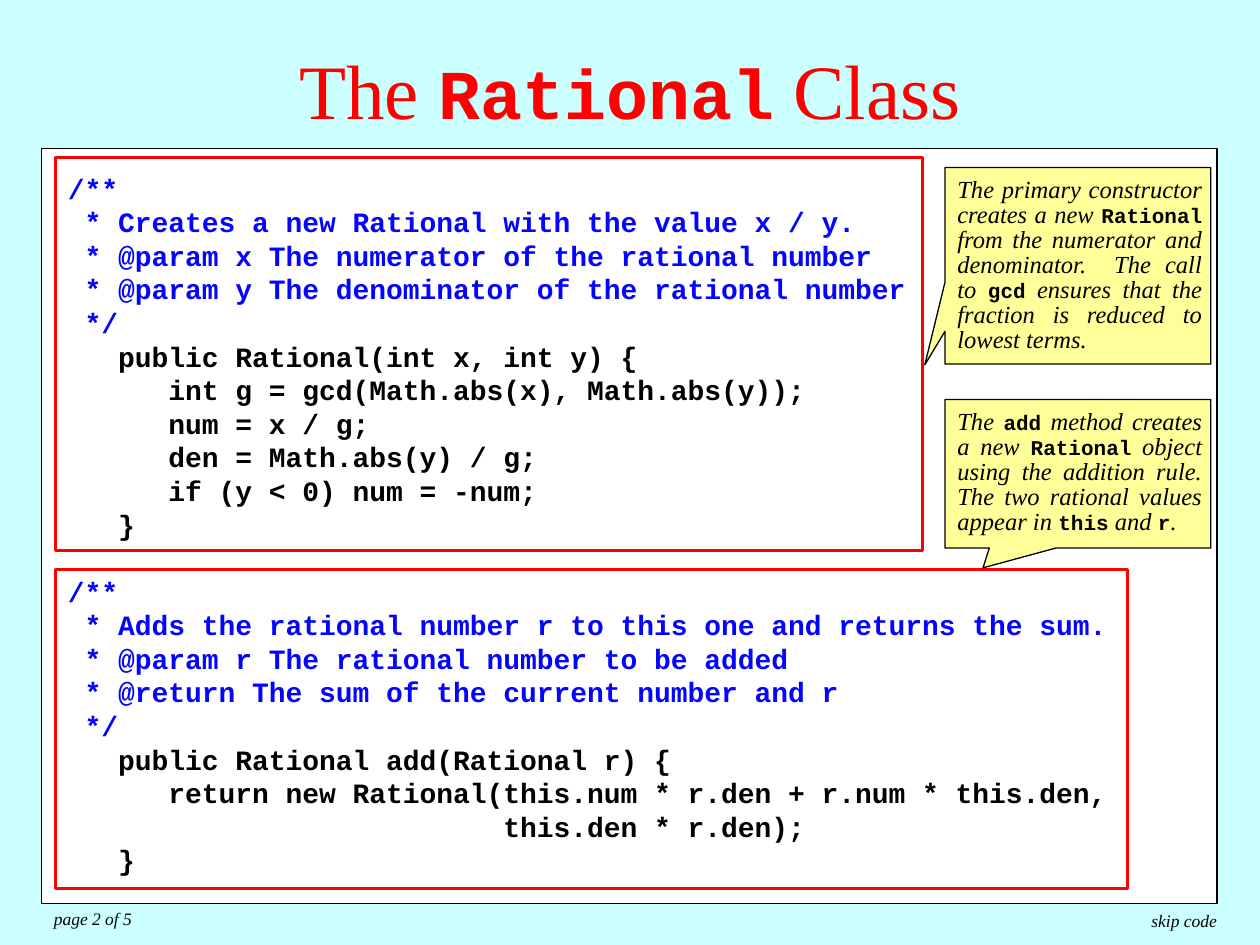
from pptx import Presentation
from pptx import util as u
from pptx.dml.color import RGBColor
from pptx.enum import shapes, text

HUES = {"page": "CCFFFF", "panel": "FFFFFF", "note": "FFFF99",
        "doc": "0404FF", "red": "FF0000", "black": "000000"}
SERIF, MONO = "Times New Roman", "Courier New"
KIND, ALIGN = shapes.MSO_SHAPE, text.PP_ALIGN
hue = {name: RGBColor.from_string(code) for name, code in HUES.items()}

deck = Presentation()
deck.slide_width, deck.slide_height = u.Inches(10), u.Inches(7.5)
slide = deck.slides.add_slide(deck.slide_layouts[6])
slide.background.fill.solid()
slide.background.fill.fore_color.rgb = hue["page"]


def add_box(kind, spot, fill, line, width):
    """Draw a preset shape; a fill of None leaves it hollow."""
    box = slide.shapes.add_shape(kind, *map(u.Inches, spot))
    box.shadow.inherit = False
    if fill:
        box.fill.solid()
        box.fill.fore_color.rgb = hue[fill]
    else:
        box.fill.background()
    box.line.color.rgb = hue[line]
    box.line.width = u.Pt(width)
    return box


def add_text(spot, paras, align=ALIGN.LEFT, wrap=True):
    """Add a text box; each run is (words, font, size, colour, bold, italic)."""
    frame = slide.shapes.add_textbox(*map(u.Inches, spot)).text_frame
    frame.word_wrap = wrap
    for i, runs in enumerate(paras):
        para = frame.paragraphs[0] if i == 0 else frame.add_paragraph()
        para.alignment = align
        for words, face, size, tint, bold, slant in runs:
            run = para.add_run()
            run.text = words
            font = run.font
            font.name, font.size = face, u.Pt(size)
            font.color.rgb = hue[tint]
            font.bold, font.italic = bold, slant
    return frame


add_box(KIND.RECTANGLE, (0.33, 1.18, 9.33, 5.99), "panel", "black", 0.75)

# Code listing: two methods, each a doc comment followed by its body
code = [
    ("""/**
 * Creates a new Rational with the value x / y.
 * @param x The numerator of the rational number
 * @param y The denominator of the rational number
 */""",
     """   public Rational(int x, int y) {
      int g = gcd(Math.abs(x), Math.abs(y));
      num = x / g;
      den = Math.abs(y) / g;
      if (y < 0) num = -num;
   }"""),
    ("""/**
 * Adds the rational number r to this one and returns the sum.
 * @param r The rational number to be added
 * @return The sum of the current number and r
 */""",
     """   public Rational add(Rational r) {
      return new Rational(this.num * r.den + r.num * this.den,
                          this.den * r.den);
   }"""),
]
lines, starts = [], []
for doc, body in code:
    starts.append(len(lines))
    for part, tint in ((doc, "doc"), (body, "black")):
        lines += [[(row, MONO, 16, tint, True, False)]
                  for row in part.split("\n")]
pitch = u.Pt(19.2)
frame = add_text((0.44, 1.31, 9.13, 5.7), lines)
for para in frame.paragraphs:
    para.line_spacing = pitch
for start in starts[1:]:
    frame.paragraphs[start].space_before = pitch

# Title
frame = add_text((0, 0.08, 10, 1.25), [[
    ("The ", SERIF, 44, "red", False, False),
    ("Rational", MONO, 40, "red", True, False),
    (" Class", SERIF, 44, "red", False, False)]], ALIGN.CENTER)
frame.vertical_anchor = text.MSO_ANCHOR.MIDDLE

# Red frames with callouts; in each note, odd pieces are code words
notes = [
    ((0.44, 1.25, 6.88, 3.12), (7.5, 1.33, 2.11, 1.56), (-0.576, 0.504),
     ["The primary constructor creates a new ", "Rational",
      " from the numerator and denominator.  The call to ", "gcd",
      " ensures that the fraction is reduced to lowest terms."]),
    ((0.44, 4.52, 8.51, 2.53), (7.5, 3.17, 2.11, 1.18), (-0.357, 0.633),
     ["The ", "add", " method creates a new ", "Rational",
      " object using the addition rule. The two rational values appear in ",
      "this", " and ", "r", "."]),
]
for area, spot, tip, words in notes:
    add_box(KIND.RECTANGLE, area, None, "red", 1.5)
    note = add_box(KIND.RECTANGULAR_CALLOUT, spot, "note", "black", 0.75)
    note.adjustments[0], note.adjustments[1] = tip
    runs = [(word, MONO, 12, "black", True, False) if i % 2
            else (word, SERIF, 14, "black", False, True)
            for i, word in enumerate(words)]
    left, top, width, height = spot
    frame = add_text((left, top + 0.04, width + 0.03, height - 0.08),
                     [runs], ALIGN.JUSTIFY)
    frame.paragraphs[0].line_spacing = 0.85

# Footer
for spot, words in (((9.04, 7.17, 0.79, 0.27), "skip code"),
                    ((0.33, 7.16, 1, 0.27), "page 2 of 5")):
    add_text(spot, [[(words, SERIF, 10, "black", False, True)]], wrap=False)

deck.save("out.pptx")
